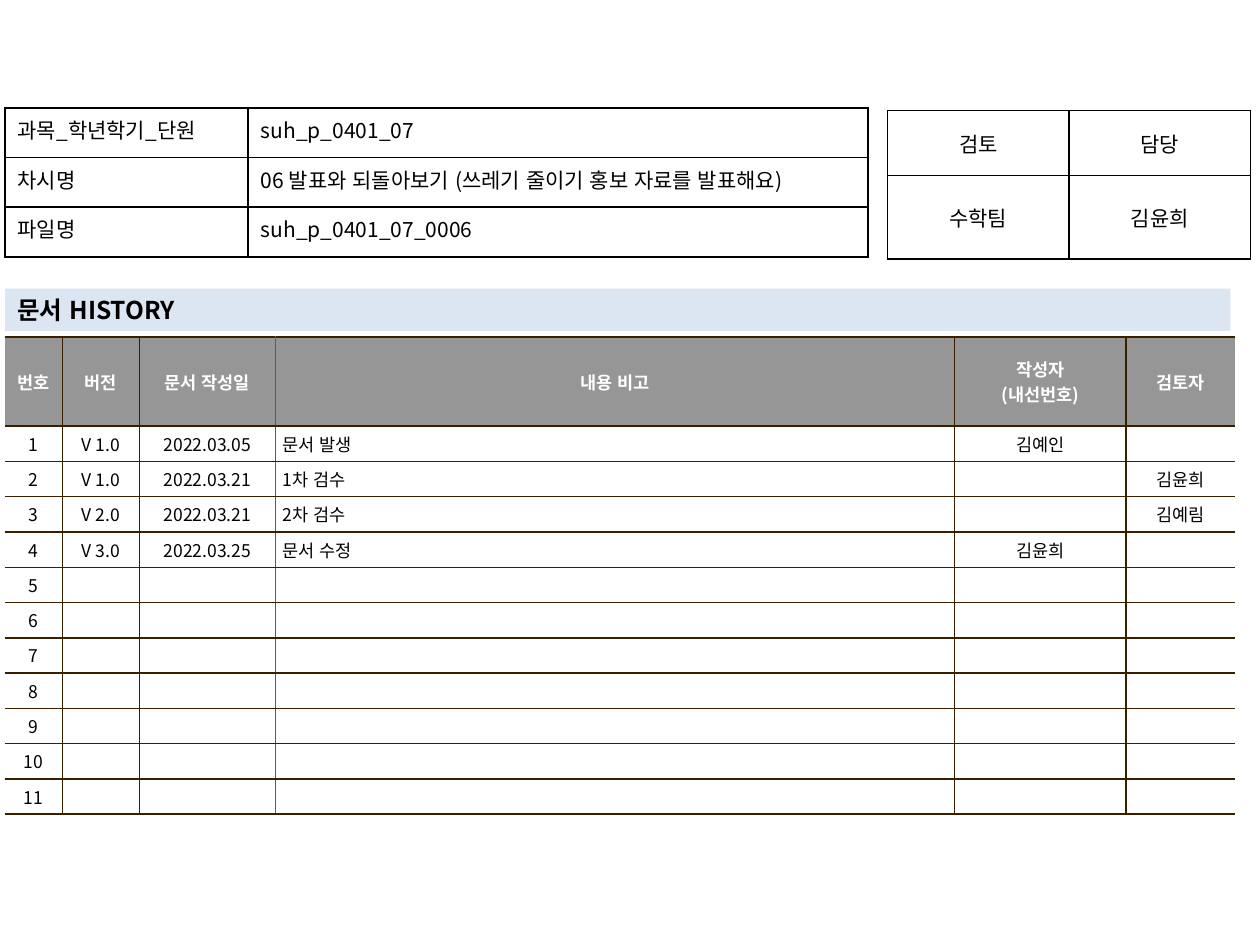
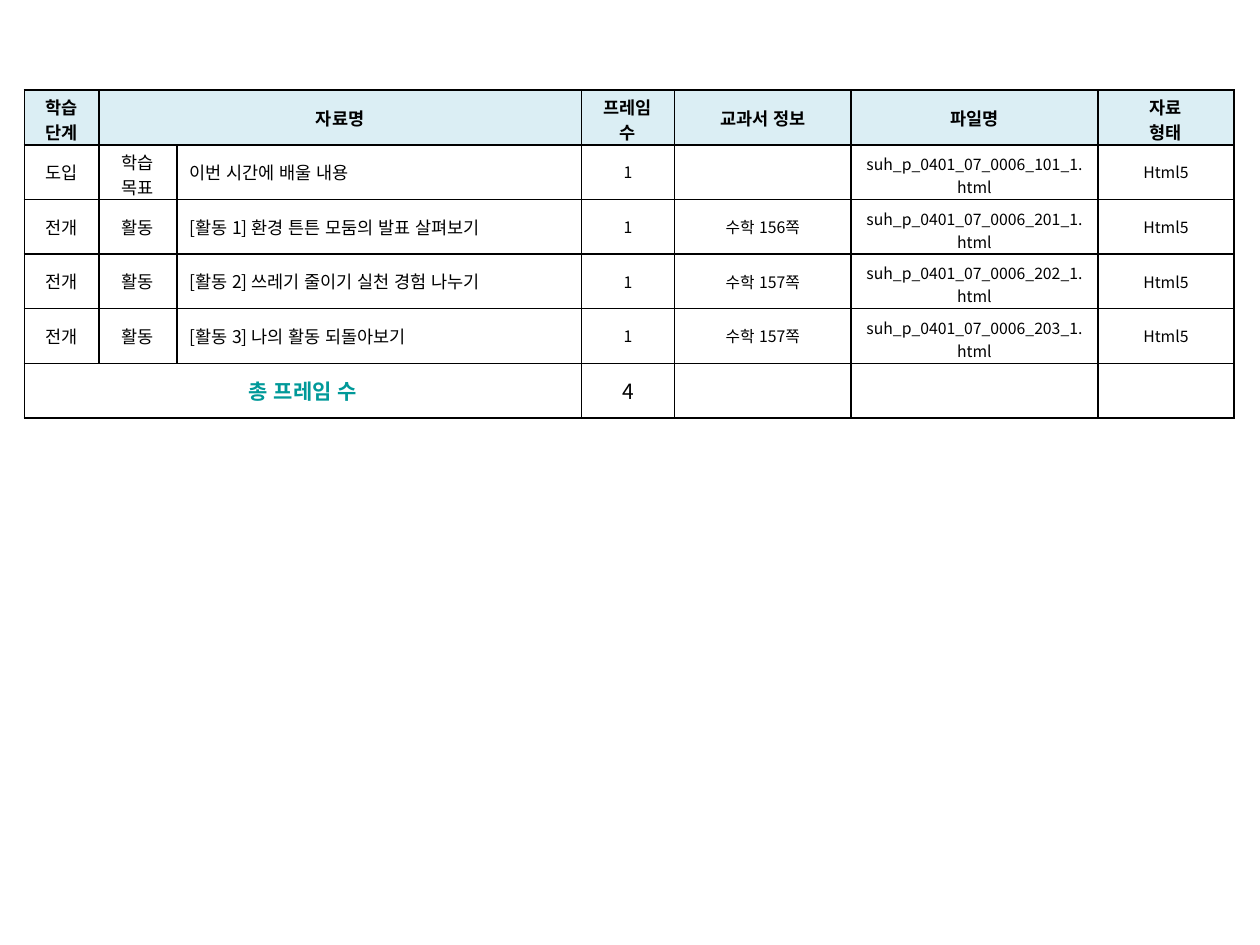
from dataclasses import dataclass
from lxml.etree import SubElement as Sub
from pptx import Presentation as Deck
from pptx.dml.color import RGBColor as Rgb
from pptx.enum.lang import MSO_LANGUAGE_ID as Lang
from pptx.enum.shapes import MSO_SHAPE as Form
from pptx.enum.text import MSO_ANCHOR as Anchor, PP_ALIGN as Align
from pptx.oxml.ns import qn
from pptx.util import Inches, Pt


@dataclass(frozen=True)
class Theme:
    """Colours, type sizes and font of the deck."""
    font: str = "Noto Sans CJK KR"
    ink: str = "000000"
    white: str = "FFFFFF"
    grey: str = "969696"
    brown: str = "362000"
    taupe: str = "645B4C"
    band: str = "DCE6F2"
    head: str = "DBEEF4"
    teal: str = "009999"
    tiny: int = 9
    small: int = 10
    mid: int = 12
    big: int = 14
    line: int = 1


@dataclass
class Look:
    """Text, fill and edge settings of one cell; pad is side, top, bottom."""
    size: int
    tint: str = Theme.ink
    bold: bool = False
    fill: str = None
    align: Align = Align.CENTER
    anchor: Anchor = Anchor.MIDDLE
    pad: tuple = (0.1, 0.05, 0.05)


class Page:
    """Draws elements on the current slide, in percent of its size."""

    def __init__(self, theme):
        """Start a deck of 10 by 7.5 inches."""
        self.theme = theme
        self.deck = Deck()
        self.deck.slide_width = Inches(10)
        self.deck.slide_height = Inches(7.5)

    def new(self):
        """Add a blank slide and make it current."""
        self.slide = self.deck.slides.add_slide(self.deck.slide_layouts[6])

    def wide(self, share):
        """Turn a share of the width into a length."""
        return round(self.deck.slide_width * share / 100)

    def high(self, share):
        """Turn a share of the height into a length."""
        return round(self.deck.slide_height * share / 100)

    def text(self, frame, words, look):
        """Fill a text frame, one paragraph a line."""
        frame.text = words
        for para in frame.paragraphs:
            para.alignment = look.align
            font = para.font
            font.name = self.theme.font
            font.size = Pt(look.size)
            font.bold = look.bold
            font.language_id = Lang.KOREAN
            font.color.rgb = Rgb.from_string(look.tint)
            props = para._p.pPr.find(qn("a:defRPr"))
            props.set("kern", "0")
            Sub(props, qn("a:ea"), typeface=self.theme.font)

    def band(self, left, top, width, height, words):
        """Draw a filled title band."""
        box = self.slide.shapes.add_shape(
            Form.RECTANGLE, self.wide(left), self.high(top),
            self.wide(width), self.high(height))
        box.shadow.inherit = False
        box.fill.solid()
        box.fill.fore_color.rgb = Rgb.from_string(self.theme.band)
        box.line.fill.background()
        look = Look(self.theme.big, bold=True, align=Align.LEFT)
        self.text(box.text_frame, words, look)

    def edge(self, cell, side, tint):
        """Draw one cell edge, or clear it when no tint is given."""
        props = cell._tc.get_or_add_tcPr()
        line = Sub(props, qn(f"a:ln{side}"), w=str(Pt(self.theme.line)))
        if tint:
            Sub(Sub(line, qn("a:solidFill")), qn("a:srgbClr"), val=tint)
        else:
            Sub(line, qn("a:noFill"))

    def cell(self, cell, words, look, edges):
        """Style and fill one table cell."""
        side, top, base = map(Inches, look.pad)
        cell.vertical_anchor = look.anchor
        cell.margin_left = cell.margin_right = side
        cell.margin_top, cell.margin_bottom = top, base
        for name, tint in zip("LRTB", edges):
            self.edge(cell, name, tint)
        if look.fill:
            cell.fill.solid()
            cell.fill.fore_color.rgb = Rgb.from_string(look.fill)
        else:
            cell.fill.background()
        self.text(cell.text_frame, words, look)

    def table(self, left, top, cols, rows, data, style, rules=None, spans=()):
        """Draw a table; style gives each cell's look, rules the uprights."""
        grid = self.slide.shapes.add_table(
            len(rows), len(cols), self.wide(left), self.high(top),
            self.wide(sum(cols)), self.high(sum(rows))).table
        grid.first_row = grid.horz_banding = False
        for col, share in zip(grid.columns, cols):
            col.width = self.wide(share)
        for row, share in zip(grid.rows, rows):
            row.height = self.high(share)
        rules = rules or [self.theme.ink] * (len(cols) + 1)
        flat = rules[1]
        for r, line in enumerate(data):
            for c, words in enumerate(line):
                edges = (rules[c], rules[c + 1], flat, flat)
                self.cell(grid.cell(r, c), words, style(r, c), edges)
        for row, first, last in spans:
            grid.cell(row, first).merge(grid.cell(row, last))


def cover(page):
    """Build the document history slide."""
    th = page.theme
    page.new()
    log = [("V 1.0", "2022.03.05", "문서 발생", "김예인", ""),
           ("V 1.0", "2022.03.21", "1차 검수", "", "김윤희"),
           ("V 2.0", "2022.03.21", "2차 검수", "", "김예림"),
           ("V 3.0", "2022.03.25", "문서 수정", "김윤희", "")]
    log += [("",) * 5] * 7
    data = [("번호", "버전", "문서 작성일", "내용 비고",
             "작성자\n(내선번호)", "검토자")]
    data += [(str(n), *line) for n, line in enumerate(log, 1)]

    def past(r, c):
        """Style the history table."""
        pad = (0.06, 0.04, 0.04)
        if r == 0:
            return Look(th.small, th.white, True, th.grey, pad=pad)
        side = Align.LEFT if c == 3 else Align.CENTER
        return Look(th.small, fill=th.white, align=side, pad=pad)

    page.table(0.36, 35.68, [4.6, 6.1, 10.8, 53.9, 13.6, 8.65],
               [9.42] + [3.33] * len(log), data, past,
               [None, th.brown, th.brown, th.taupe, th.brown, th.brown, None])
    page.table(70.45, 11.7, [14.4] * 2, [6.87, 8.85],
               [("검토", "담당"), ("수학팀", "김윤희")],
               lambda r, c: Look(th.mid))
    page.band(0.4, 30.53, 97.25, 4.5, "문서 HISTORY")
    facts = [("과목_학년학기_단원", "suh_p_0401_07"),
             ("차시명", "06 발표와 되돌아보기 (쓰레기 줄이기 홍보 자료를 발표해요)"),
             ("파일명", "suh_p_0401_07_0006")]
    page.table(0.4, 11.42, [19.3, 49.2], [5.25] * 3, facts,
               lambda r, c: Look(th.mid, align=Align.LEFT, anchor=Anchor.TOP))


def frames(page):
    """Build the frame list slide."""
    th = page.theme
    page.new()
    steps = [("도입", "학습 목표", "이번 시간에 배울 내용", "", 101),
             ("전개", "활동", "[활동 1] 환경 튼튼 모둠의 발표 살펴보기", "수학 156쪽", 201),
             ("전개", "활동", "[활동 2] 쓰레기 줄이기 실천 경험 나누기", "수학 157쪽", 202),
             ("전개", "활동", "[활동 3] 나의 활동 되돌아보기", "수학 157쪽", 203)]
    data = [("학습 단계", "자료명", "", "프레임 수", "교과서 정보", "파일명", "자료\n형태")]
    data += [(step, kind, name, "1", book,
              f"suh_p_0401_07_0006_{code}_1.html", "Html5")
             for step, kind, name, book, code in steps]
    data.append(("총 프레임 수", "", "", str(len(steps)), "", "", ""))
    last = len(data) - 1
    pairs = {(0, 0), (0, 3), (0, 6), (1, 1)}

    def plan(r, c):
        """Style the frame table, with less padding round two lines."""
        pad = Look.pad
        if (r, c) in pairs:
            pad = (0.1, 0.03, 0)
        elif c == 5 and 0 < r < last:
            pad = (0.1, 0.05, 0)
        if r == 0:
            return Look(th.small, bold=True, fill=th.head, pad=pad)
        if r == last:
            return Look(th.mid, th.ink if c else th.teal, c == 0)
        side = Align.LEFT if c == 2 else Align.CENTER
        return Look(th.small if c < 3 else th.tiny, align=side, pad=pad)

    page.table(1.94, 9.55, [5.9, 6.2, 32.1, 7.4, 14, 19.6, 10.8],
               [5.78] * len(data), data, plan,
               spans=[(0, 1, 2), (last, 0, 2)])


def main():
    """Build and save the deck."""
    page = Page(Theme())
    cover(page)
    frames(page)
    page.deck.save("out.pptx")


if __name__ == "__main__":
    main()
